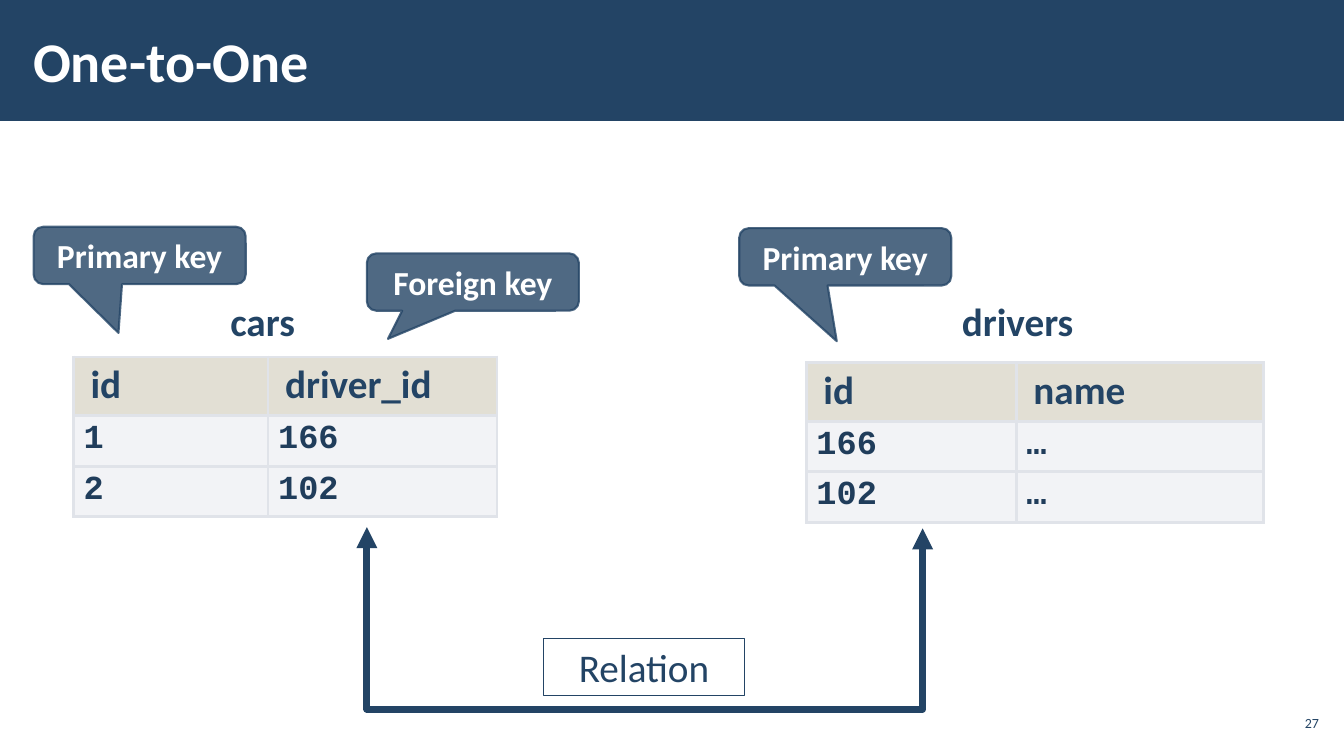
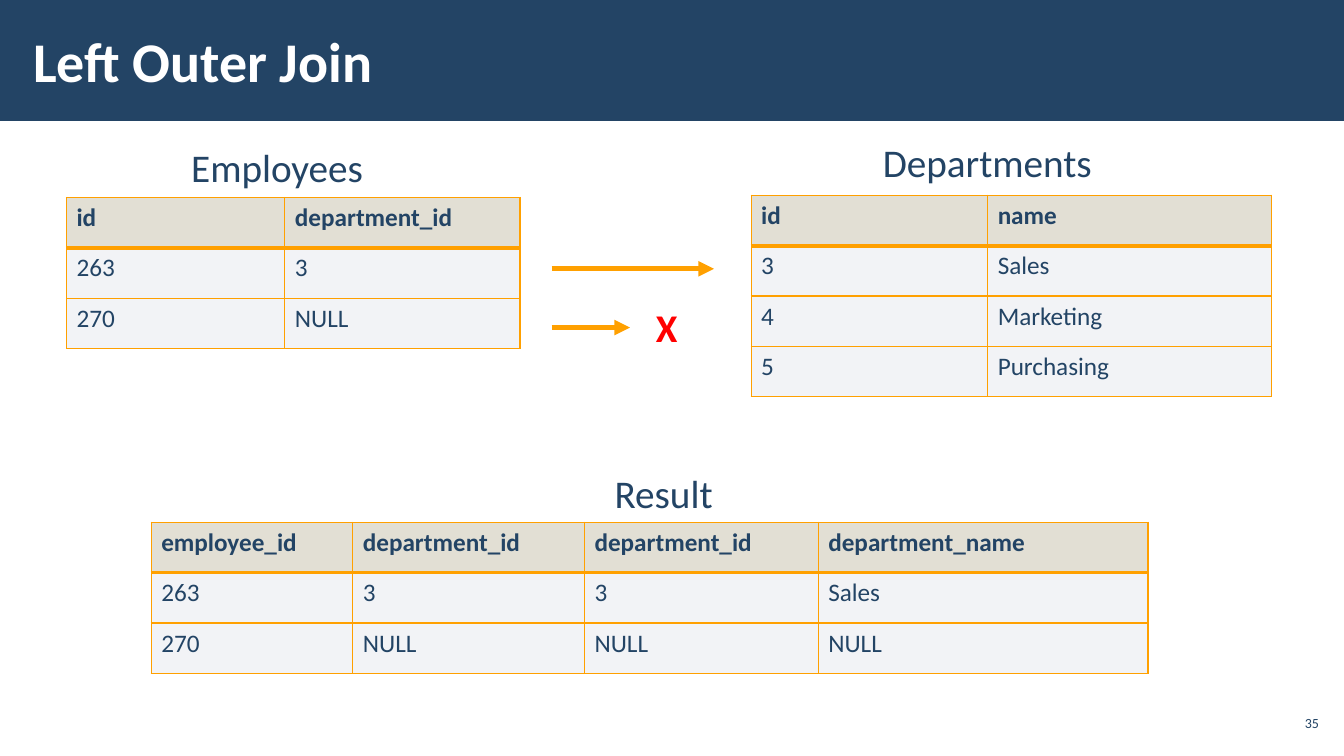
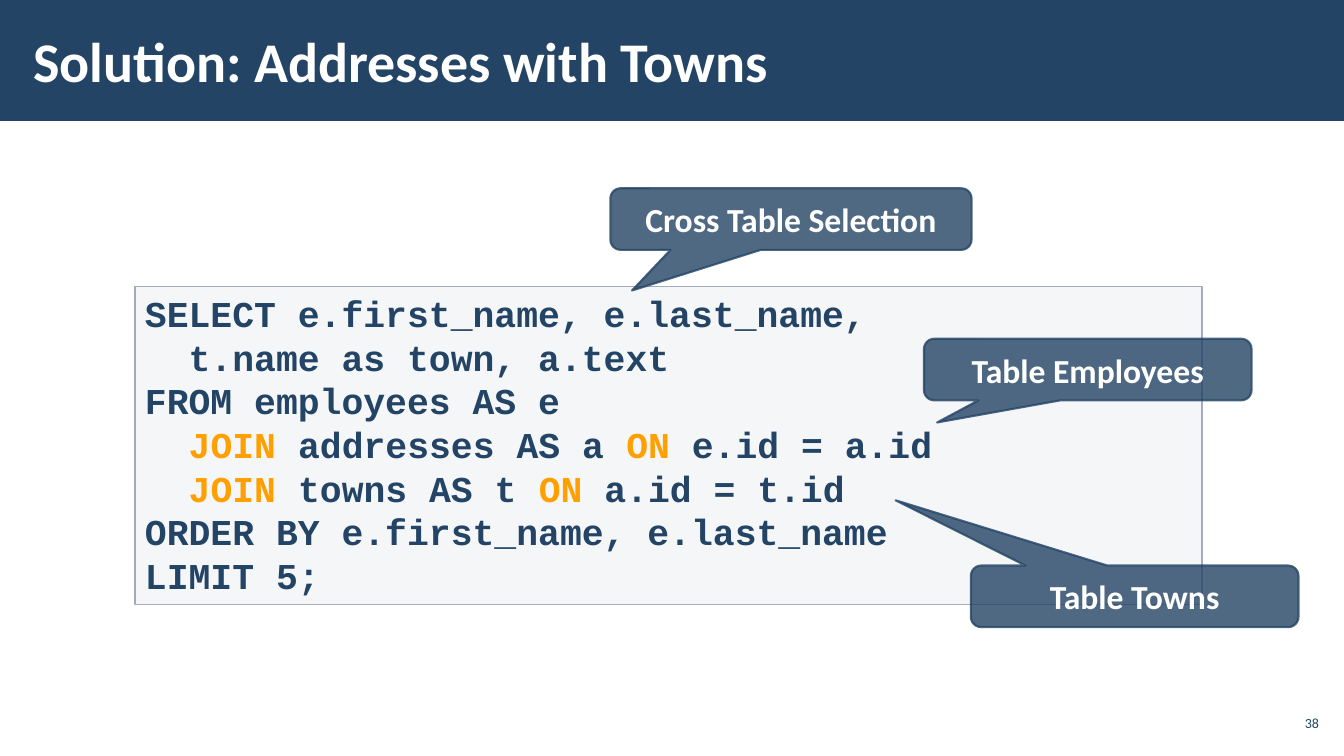
from itertools import groupby

from lxml import etree
from pptx import Presentation
from pptx.dml.color import RGBColor
from pptx.enum.shapes import MSO_CONNECTOR, MSO_SHAPE
from pptx.enum.text import MSO_ANCHOR, MSO_AUTO_SIZE, PP_ALIGN
from pptx.oxml.ns import qn
from pptx.util import Pt

RECT, CALLOUT = MSO_SHAPE.RECTANGLE, MSO_SHAPE.ROUNDED_RECTANGULAR_CALLOUT
STRAIGHT, ELBOW = MSO_CONNECTOR.STRAIGHT, MSO_CONNECTOR.ELBOW
TOP, MIDDLE = MSO_ANCHOR.TOP, MSO_ANCHOR.MIDDLE
LEFT, CENTER, RIGHT = PP_ALIGN.LEFT, PP_ALIGN.CENTER, PP_ALIGN.RIGHT
NO_FIT, GROW = MSO_AUTO_SIZE.NONE, MSO_AUTO_SIZE.SHAPE_TO_FIT_TEXT

NAVY = RGBColor(0x23, 0x44, 0x65)
DARK_NAVY = RGBColor(0x20, 0x3D, 0x5B)
WHITE = RGBColor(0xFF, 0xFF, 0xFF)
ORANGE = RGBColor(0xFF, 0xA0, 0x00)
RED = RGBColor(0xFF, 0x00, 0x00)
SAND = RGBColor(0xC6, 0xC0, 0xAA)
MIST = RGBColor(0xC2, 0xC7, 0xD2)
PALE = RGBColor(0xE0, 0xE3, 0xE9)
STEEL = RGBColor(0xA3, 0xAB, 0xBC)

SANS, MONO = "Calibri", "Courier New"
KEYWORDS = {"JOIN", "ON"}

TITLE = dict(name=SANS, size=Pt(40), bold=True, color=WHITE)
NUMBER = dict(name=SANS, size=Pt(10), bold=False, color=NAVY)
CAPTION = dict(name=SANS, size=Pt(28), bold=False, color=NAVY)
STRONG = dict(CAPTION, bold=True)
CROSS = dict(STRONG, color=RED)
NOTE = dict(name=SANS, size=Pt(24), bold=True, color=WHITE)
CODE = dict(name=MONO, size=Pt(26), bold=True, color=NAVY)
KEYWORD = dict(CODE, color=ORANGE)

KEY_TABLE = dict(head=STRONG, body=dict(CODE, size=Pt(24), color=DARK_NAVY),
                 border=PALE, width=2.25, rule=2.25, inset=12.24,
                 head_height=42, spacing=0.95)
JOIN_TABLE = dict(head=dict(STRONG, size=Pt(18)), body=dict(CAPTION, size=Pt(18)),
                  border=ORANGE, width=1, rule=3, inset=7.2,
                  head_height=36, spacing=1)


def set_alpha(parent, percent):
    """Make the solid fill found directly under parent partly transparent."""
    color = parent.find(f"{qn('a:solidFill')}/{qn('a:srgbClr')}")
    etree.SubElement(color, qn("a:alpha"), val=str(percent * 1000))


def set_border(cell, side, color, width):
    ln = etree.SubElement(cell._tc.get_or_add_tcPr(), qn(f"a:ln{side}"),
                          w=str(Pt(width)))
    fill = etree.SubElement(ln, qn("a:solidFill"))
    etree.SubElement(fill, qn("a:srgbClr"), val=str(color))


class Deck:
    """Holds the shared style and the slide being built."""

    def __init__(self):
        self.prs = Presentation()
        self.prs.slide_width, self.prs.slide_height = Pt(960), Pt(540)
        self.layout = self.prs.slide_layouts[5]
        self.slide = None

    def new_slide(self, title, number):
        first = self.slide is None
        self.slide = self.prs.slides.add_slide(self.layout)
        if first:
            band = self.shape(RECT, 0, 0, 960, 86.4, NAVY)
            self.layout.shapes.element.insert(2, band.element)
        s = self.slide.shapes.title
        s.left, s.top, s.width, s.height = Pt(15), Pt(8), Pt(748), Pt(70)
        self.text(s, title, TITLE, LEFT, MIDDLE, inset=(8.64, 2.88))
        s = self.slide.shapes.add_textbox(Pt(911), Pt(504), Pt(34), Pt(24.5))
        self.text(s, number, NUMBER, RIGHT, MIDDLE, inset=(2.88, 2.88))

    def run(self, p, text, style):
        r = p.add_run()
        r.text = text
        for name, value in style.items():
            if name == "color":
                r.font.color.rgb = value
            else:
                setattr(r.font, name, value)

    def text(self, s, text, style, align=LEFT, anchor=TOP, inset=(7.2, 3.6),
             wrap=True, fit=NO_FIT):
        tf = s.text_frame
        x, y = Pt(inset[0]), Pt(inset[1])
        frame = dict(margin_left=x, margin_right=x, margin_top=y, margin_bottom=y,
                     vertical_anchor=anchor, auto_size=fit, word_wrap=wrap)
        for name, value in frame.items():
            setattr(tf, name, value)
        p = tf.paragraphs[0]
        p.alignment = align
        self.run(p, text, style)

    def shape(self, kind, x, y, w, h, fill=None, line=None, width=1):
        s = self.slide.shapes.add_shape(kind, Pt(x), Pt(y), Pt(w), Pt(h))
        s.shadow.inherit = False
        if fill is None:
            s.fill.background()
        else:
            s.fill.solid()
            s.fill.fore_color.rgb = fill
        if line is None:
            s.line.fill.background()
        else:
            s.line.color.rgb = line
            s.line.width = Pt(width)
        return s

    def caption(self, text, x, y, w, style=CAPTION):
        s = self.slide.shapes.add_textbox(Pt(x), Pt(y), Pt(w), Pt(41))
        self.text(s, text, style, wrap=False, fit=GROW)

    def boxed_label(self, text, x, y, w, h):
        s = self.shape(RECT, x, y, w, h, line=NAVY, width=0.75)
        self.text(s, text, CAPTION, CENTER, fit=GROW)

    def callout(self, text, x, y, w, h, tip_x, tip_y):
        """Callout whose tip is offset from its centre by shares of its size."""
        s = self.shape(CALLOUT, x, y, w, h, NAVY, NAVY, 1.5)
        s.adjustments[0], s.adjustments[1] = tip_x, tip_y
        set_alpha(s.element.spPr, 80)
        set_alpha(s.element.spPr.find(qn("a:ln")), 80)
        self.text(s, text, NOTE, CENTER, MIDDLE)

    def code(self, lines, x, y, w, h):
        s = self.shape(RECT, x, y, w, h, MIST, STEEL)
        set_alpha(s.element.spPr, 15)
        self.text(s, lines[0], CODE)
        tf = s.text_frame
        for line in lines[1:]:
            p = tf.add_paragraph()
            p.alignment = LEFT
            *words, last = line.split(" ")
            parts = [word + " " for word in words] + [last]
            for key, group in groupby(parts, lambda part: part.strip() in KEYWORDS):
                self.run(p, "".join(group), KEYWORD if key else CODE)

    def connector(self, kind, x1, y1, x2, y2, color, width, ends):
        c = self.slide.shapes.add_connector(kind, Pt(x1), Pt(y1), Pt(x2), Pt(y2))
        c.line.color.rgb = color
        c.line.width = Pt(width)
        ln = c.element.spPr.find(qn("a:ln"))
        for end in ends:
            etree.SubElement(ln, qn(f"a:{end}"), type="triangle")
        etree.SubElement(c.element.spPr, qn("a:effectLst"))
        return c

    def arrow(self, x1, x2, y):
        self.connector(STRAIGHT, x1, y, x2, y, ORANGE, 3.75, ["tailEnd"])

    def u_arrow(self, x1, x2, y, depth):
        """Double arrow that dips by depth: an elbow 1 pt wide, turned by 270°."""
        mid, half = (x1 + x2) / 2, (x2 - x1) / 2
        c = self.connector(ELBOW, mid - 0.5, y - half, mid + 0.5, y + half,
                           NAVY, 5, ["headEnd", "tailEnd"])
        xfrm = c.element.spPr.find(qn("a:xfrm"))
        xfrm.set("rot", str(270 * 60000))
        xfrm.set("flipH", "1")
        guides = c.element.spPr.find(f"{qn('a:prstGeom')}/{qn('a:avLst')}")
        etree.SubElement(guides, qn("a:gd"), name="adj1", fmla=f"val {depth * 100000}")

    def table(self, rows, x, y, widths, look):
        heights = [look["head_height"]] + [36] * (len(rows) - 1)
        table = self.slide.shapes.add_table(
            len(rows), len(widths), Pt(x), Pt(y), Pt(sum(widths)), Pt(sum(heights))).table
        table.first_row = table.horz_banding = False
        for column, width in zip(table.columns, widths):
            column.width = Pt(width)
        for i, (row, height) in enumerate(zip(rows, heights)):
            table.rows[i].height = Pt(height)
            for j, text in enumerate(row):
                self.cell(table.cell(i, j), text, i, look)

    def cell(self, cell, text, row, look):
        head = row == 0
        ruled = {0: "B", 1: "T"}.get(row)
        for side in "LRTB":
            width = look["rule"] if side == ruled else look["width"]
            set_border(cell, side, look["border"], width)
        cell.fill.solid()
        cell.fill.fore_color.rgb = SAND if head else MIST
        set_alpha(cell._tc.get_or_add_tcPr(), 50 if head else 20)
        p = cell.text_frame.paragraphs[0]
        if head:
            cell.margin_left = cell.margin_right = Pt(look["inset"])
            p.line_spacing = look["spacing"]
        self.run(p, text, look["head"] if head else look["body"])


def one_to_one(deck):
    deck.new_slide("One-to-One", "27")
    deck.caption("cars", 157.5, 209, 61, STRONG)
    deck.caption("drivers", 680, 209, 95, STRONG)
    for text, x, y, tip_x, tip_y in [("Primary key", 24, 162, -0.1, 1.35),
                                     ("Foreign key", 262, 181, -0.4, 0.99),
                                     ("Primary key", 528, 163, -0.04, 1.47)]:
        deck.callout(text, x, y, 151.5, 41, tip_x, tip_y)
    deck.u_arrow(262, 659, 377, 131)
    deck.boxed_label("Relation", 388, 456, 144, 41)
    deck.table([["id", "driver_id"], ["1", "166"], ["2", "102"]],
               52.5, 255, [139, 163.5], KEY_TABLE)
    deck.table([["id", "name"], ["166", "…"], ["102", "…"]],
               576, 259, [150, 176.5], KEY_TABLE)


def left_outer_join(deck):
    deck.new_slide("Left Outer Join", "35")
    deck.caption("Employees", 129.5, 99, 138)
    deck.table([["id", "department_id"], ["263", "3"], ["270", "NULL"]],
               47.5, 141, [156, 168], JOIN_TABLE)
    deck.caption("Departments", 623.5, 95, 166)
    deck.table([["id", "name"], ["3", "Sales"], ["4", "Marketing"], ["5", "Purchasing"]],
               536.5, 139.5, [169, 203], JOIN_TABLE)
    deck.arrow(394, 510, 192)
    deck.arrow(394, 450, 234)
    deck.caption("X", 461.5, 213, 30, CROSS)
    deck.caption("Result", 432, 332, 86)
    deck.table([["employee_id", "department_id", "department_id", "department_name"],
                ["263", "3", "3", "Sales"],
                ["270", "NULL", "NULL", "NULL"]],
               108, 373, [144, 165.5, 167, 235.5], JOIN_TABLE)


def addresses_with_towns(deck):
    deck.new_slide("Solution: Addresses with Towns", "38")
    deck.code(["SELECT e.first_name, e.last_name,",
               "  t.name as town, a.text",
               "FROM employees AS e",
               "  JOIN addresses AS a ON e.id = a.id",
               "  JOIN towns AS t ON a.id = t.id",
               "ORDER BY e.first_name, e.last_name",
               "LIMIT 5;"], 96.5, 204.5, 762, 227.5)
    for text, x, y, w, tip_x, tip_y in [
            ("Table Employees", 660, 242, 234, -0.46, 0.86),
            ("Table Towns", 693.5, 404, 234, -0.73, -1.56),
            ("Cross Table Selection", 436, 134.5, 258, -0.44, 1.16)]:
        deck.callout(text, x, y, w, 44, tip_x, tip_y)


def main():
    deck = Deck()
    for build in (one_to_one, left_outer_join, addresses_with_towns):
        build(deck)
    deck.prs.save("out.pptx")


if __name__ == "__main__":
    main()
